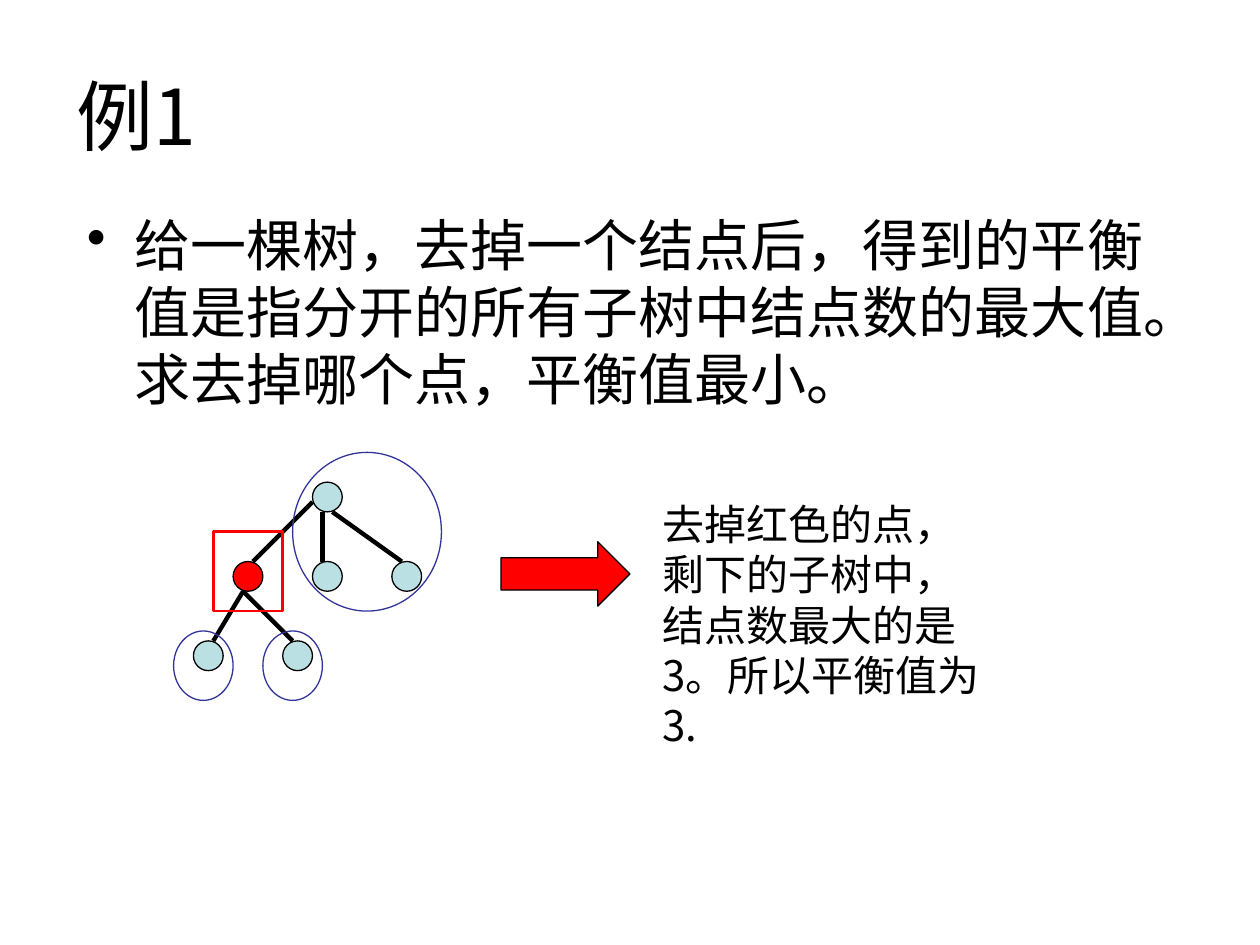
"""Build the tree balance example slide on a 2 mm grid."""
import pptx
import pptx.dml.color
import pptx.enum.shapes
import pptx.enum.text
import pptx.oxml.ns
import pptx.util
from lxml import etree

kinds = pptx.enum.shapes.MSO_SHAPE
anchor = pptx.enum.text.MSO_ANCHOR
qn = pptx.oxml.ns.qn
cell = pptx.util.Mm(2)
left, top = 0.5, 0.6
cjk = "Noto Sans CJK SC"


def grid(col, row, wide, high):
    return [int(n * cell) for n in (col + left, row + top, wide, high)]


def color(code):
    return pptx.dml.color.RGBColor.from_string(code)


deck = pptx.Presentation()
deck.slide_width = pptx.util.Inches(10)
deck.slide_height = pptx.util.Inches(7.5)
page = deck.slides.add_slide(deck.slide_layouts[6])

texts = [
    ("例1", (6, 3, 114.3, 15.9), anchor.MIDDLE, False,
     {"size": pptx.util.Pt(44), "name": cjk}),
    ("给一棵树，去掉一个结点后，得到的平衡值是指分开的所有子树中结点数的最大值。求去掉哪个点，平衡值最小。",
     (7, 20, 114.3, 62.9), anchor.TOP, True,
     {"size": pptx.util.Pt(32), "name": "Arial"}),
    ("去掉红色的点，剩下的子树中，结点数最大的是3。所以平衡值为3.",
     (65, 49, 36, 21.6), anchor.TOP, False,
     {"size": pptx.util.Pt(24), "name": cjk}),
]
for words, spot, side, dot, style in texts:
    frame = page.shapes.add_textbox(*grid(*spot)).text_frame
    frame.word_wrap = True
    frame.vertical_anchor = side
    para = frame.paragraphs[0]
    if dot:
        props = para._p.get_or_add_pPr()
        props.set("marL", str(pptx.util.Inches(0.38)))
        props.set("indent", str(pptx.util.Inches(-0.38)))
        etree.SubElement(props, qn("a:buChar")).set("char", "•")
    run = para.add_run()
    run.text = words
    for key, value in style.items():
        setattr(run.font, key, value)
    run.font.color.rgb = color("000000")
    etree.SubElement(run._r.get_or_add_rPr(), qn("a:ea")).set("typeface", cjk)

nodes = [(31, 48, "BBE0E3"), (23, 56, "FF0000"), (39, 56, "BBE0E3"),
         (19, 64, "BBE0E3"), (31, 56, "BBE0E3"), (28, 64, "BBE0E3")]
edges = [(33, 51, 40, 56), (32, 51, 32, 56), (31, 50, 25, 56),
         (24, 59, 21, 64), (24, 59, 29, 64)]
marks = [
    (kinds.RECTANGLE, (21, 53, 7, 8), None, "FF0000", 1.5),
    (kinds.RIGHT_ARROW, (50, 54, 13, 6.5), "FF0000", "000000", 0.75),
    (kinds.OVAL, (29, 45, 15, 16), None, "333399", 0.75),
    (kinds.OVAL, (17, 63, 6, 7), None, "333399", 0.75),
    (kinds.OVAL, (26, 63, 6, 7), None, "333399", 0.75),
]
balls = [(kinds.OVAL, (col, row, 3, 3), fill, "000000", 0.75)
         for col, row, fill in nodes]
lines = [(None, edge, None, "000000", 2.5) for edge in edges]

for kind, spot, fill, ink, width in balls + lines + marks:
    if kind is None:
        start, end = grid(*spot[:2], 0, 0)[:2], grid(*spot[2:], 0, 0)[:2]
        item = page.shapes.add_connector(
            pptx.enum.shapes.MSO_CONNECTOR.STRAIGHT, *start, *end)
    else:
        item = page.shapes.add_shape(kind, *grid(*spot))
        item.shadow.inherit = False
        if fill:
            item.fill.solid()
            item.fill.fore_color.rgb = color(fill)
        else:
            item.fill.background()
    item.line.color.rgb = color(ink)
    item.line.width = pptx.util.Pt(width)
    if kind is None:
        etree.SubElement(item._element.spPr, qn("a:effectLst"))

deck.save("out.pptx")
